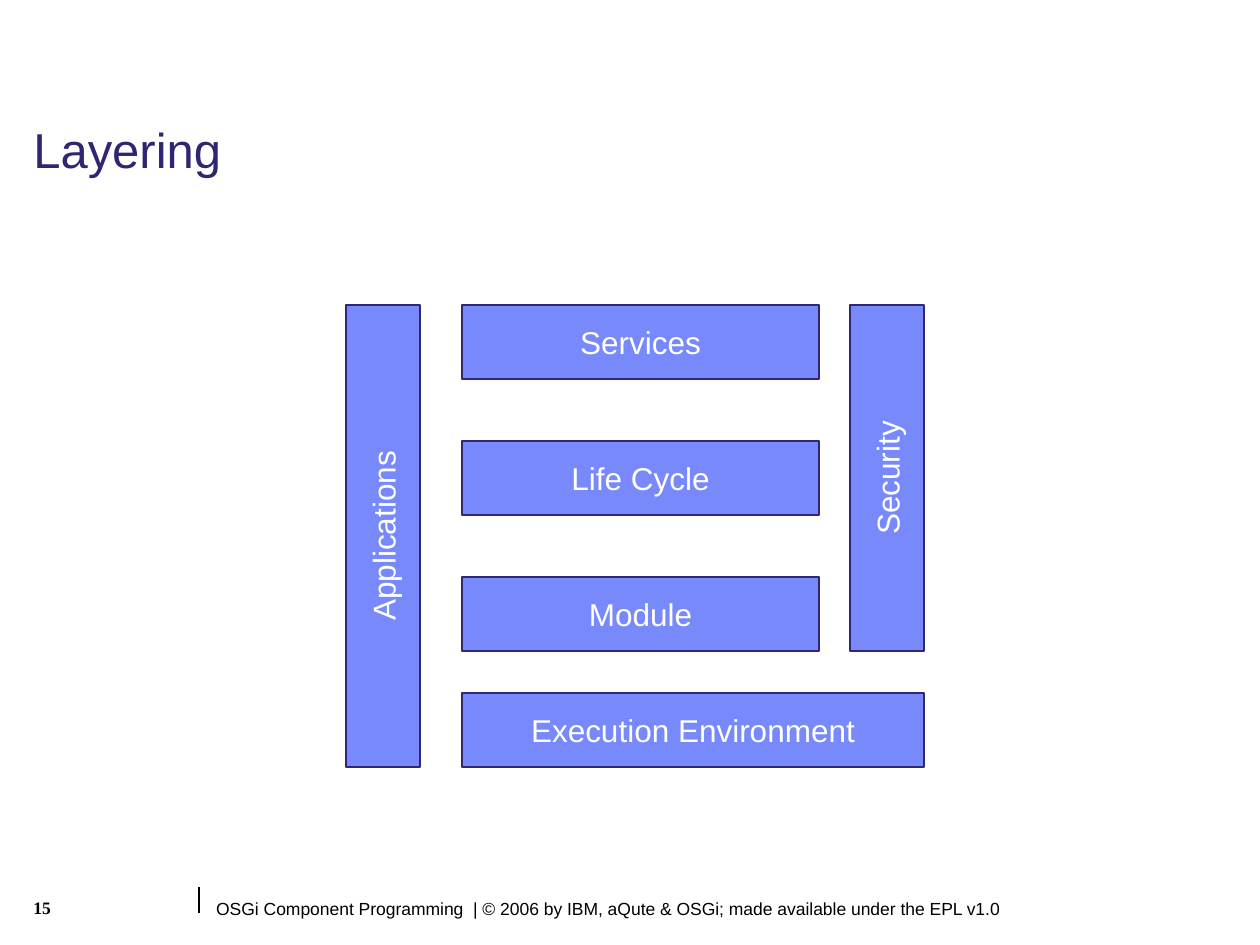
from pptx import Presentation
from pptx.dml.color import RGBColor
from pptx.enum.shapes import MSO_CONNECTOR, MSO_SHAPE
from pptx.enum.text import MSO_ANCHOR, PP_ALIGN
from pptx.oxml.ns import qn
from pptx.util import Emu, Pt
from lxml.etree import SubElement


def px(n):
    return Emu(round(n * 914400 / 126))


def color(code):
    return RGBColor.from_string(code)


class Deck:
    """Holds the style and the current slide, and draws each kind of element."""

    fill, edge, ink = "7889FB", "312672", "000000"

    def __init__(self, wide, high):
        self.file = Presentation()
        self.file.slide_width, self.file.slide_height = px(wide), px(high)
        self.slide = self.file.slides.add_slide(self.file.slide_layouts[6])

    def text(self, para, words, size, code, font="Arial", bold=False):
        run = para.add_run()
        run.text = words
        run.font.size, run.font.name, run.font.bold = Pt(size), font, bold
        run.font.color.rgb = color(code)

    def label(self, box, words, size, code, space=1.0, **style):
        frame = self.slide.shapes.add_textbox(*map(px, box)).text_frame
        frame.word_wrap = True
        para = frame.paragraphs[0]
        para.line_spacing = space
        self.text(para, words, size, code, **style)

    def bar(self, left, top, wide, high, words, turn=False):
        if turn:
            left, top = left + (wide - high) / 2, top + (high - wide) / 2
            wide, high = high, wide
        shape = self.slide.shapes.add_shape(
            MSO_SHAPE.RECTANGLE, px(left), px(top), px(wide), px(high))
        shape.rotation = 270 if turn else 0
        shape.shadow.inherit = False
        shape.fill.solid()
        shape.fill.fore_color.rgb = color(self.fill)
        shape.line.color.rgb = color(self.edge)
        shape.line.width = Pt(0.75)
        frame = shape.text_frame
        frame.word_wrap = False
        frame.vertical_anchor = MSO_ANCHOR.MIDDLE
        para = frame.paragraphs[0]
        para.alignment = PP_ALIGN.CENTER
        self.text(para, words, 18, "FFFFFF")

    def rule(self, *ends):
        line = self.slide.shapes.add_connector(
            MSO_CONNECTOR.STRAIGHT, *map(px, ends))
        line.line.color.rgb = color(self.ink)
        line.line.width = Pt(0.75)
        SubElement(line._element.spPr, qn("a:effectLst"))


def main():
    deck = Deck(1260, 945)
    deck.rule(199, 887, 199, 913)
    deck.label((199, 892, 1061, 34),
               " OSGi Component Programming  | © 2006 by IBM, aQute & OSGi; "
               "made available under the EPL v1.0", 10, deck.ink)
    deck.label((21, 120, 1137, 69), "Layering", 28, "2F2672", space=0.9)

    left, top, thick, step = 462, 305, 74, 136
    for row, name in enumerate(("Services", "Life Cycle", "Module")):
        deck.bar(left, top + row * step, 357, thick, name)
    deck.bar(left, 693, 462, thick, "Execution Environment")
    deck.bar(850, top, thick, 346, "Security", turn=True)
    deck.bar(346, top, thick, 462, "Applications", turn=True)

    deck.label((21, 891, 139, 44), "15", 10, deck.ink,
               font="Times New Roman", bold=True)
    deck.file.save("out.pptx")


if __name__ == "__main__":
    main()
